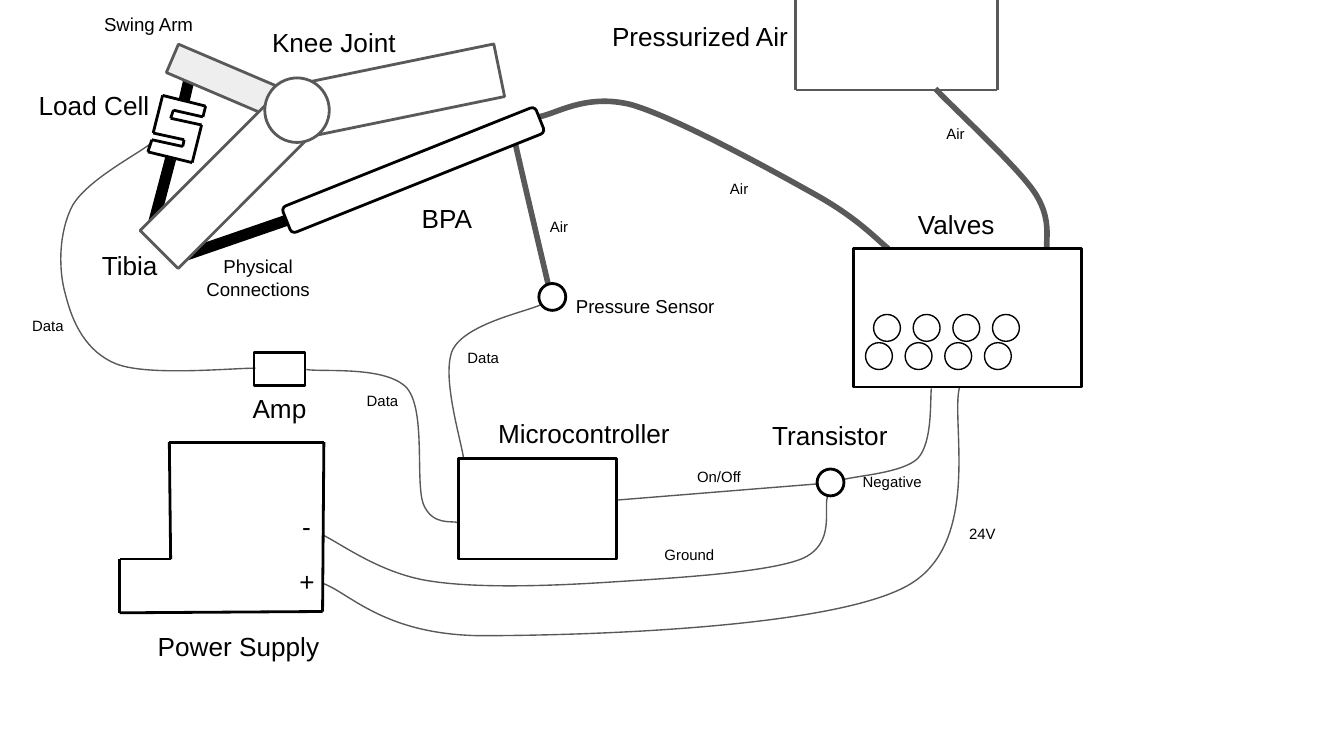
from dataclasses import dataclass
from itertools import pairwise
from typing import Optional

from lxml.etree import SubElement
from pptx import Presentation
from pptx.dml.color import RGBColor
from pptx.enum.shapes import MSO_CONNECTOR, MSO_SHAPE
from pptx.enum.text import MSO_ANCHOR, MSO_AUTO_SIZE, PP_ALIGN
from pptx.oxml.ns import qn
from pptx.util import Cm, Pt

BLACK = RGBColor(0x00, 0x00, 0x00)
GREY = RGBColor(0x59, 0x59, 0x59)
PALE = RGBColor(0xEE, 0xEE, 0xEE)
WHITE = RGBColor(0xFF, 0xFF, 0xFF)

CENTER, LEFT = PP_ALIGN.CENTER, PP_ALIGN.LEFT
RECT, OVAL = MSO_SHAPE.RECTANGLE, MSO_SHAPE.OVAL
Point = tuple[float, float]


@dataclass
class Label:
    text: str
    left: float
    top: float
    width: float
    height: float = 0.44
    size: int = 14
    align: PP_ALIGN = CENTER


@dataclass
class Part:
    left: float
    top: float
    width: float
    height: float
    kind: MSO_SHAPE = RECT
    fill: Optional[RGBColor] = None
    color: Optional[RGBColor] = BLACK
    weight: float = 1.5
    rotation: float = 0


@dataclass
class Cable:
    """A start point, then three points for each Bezier segment."""
    points: list[Point]
    weight: float = 0.75


def grid(units: float) -> Cm:
    """The drawing grid has ten units across the slide, 2.54 cm each."""
    return Cm(units * 2.54)


def draw_label(shapes, label: Label) -> None:
    box = shapes.add_textbox(grid(label.left), grid(label.top),
                             grid(label.width), grid(label.height))
    frame = box.text_frame
    frame.word_wrap = True
    frame.auto_size = MSO_AUTO_SIZE.SHAPE_TO_FIT_TEXT
    frame.vertical_anchor = MSO_ANCHOR.TOP
    frame.margin_left = frame.margin_right = Cm(0.25)
    frame.margin_top = frame.margin_bottom = Cm(0.25)
    para = frame.paragraphs[0]
    para.text = label.text
    para.alignment = label.align
    para.font.name = "Arial"
    para.font.size = Pt(label.size)
    para.font.color.rgb = BLACK


def draw_part(shapes, part: Part) -> None:
    shape = shapes.add_shape(part.kind, grid(part.left), grid(part.top),
                             grid(part.width), grid(part.height))
    shape.shadow.inherit = False
    shape.rotation = part.rotation
    if part.fill is None:
        shape.fill.background()
    else:
        shape.fill.solid()
        shape.fill.fore_color.rgb = part.fill
    if part.color is None:
        shape.line.fill.background()
    else:
        shape.line.color.rgb = part.color
        shape.line.width = Pt(part.weight)


def draw_lines(shapes, points: list[Point], color: RGBColor = BLACK, weight: float = 1.5) -> None:
    for (x1, y1), (x2, y2) in pairwise(points):
        line = shapes.add_connector(MSO_CONNECTOR.STRAIGHT, grid(x1), grid(y1), grid(x2), grid(y2))
        line.line.color.rgb = color
        line.line.width = Pt(weight)
        SubElement(line._element.spPr, qn("a:effectLst"))


def draw_cable(shapes, cable: Cable) -> None:
    start, *rest = [(grid(x), grid(y)) for x, y in cable.points]
    builder = shapes.build_freeform(*start)
    builder.add_line_segments(rest, close=False)
    shape = builder.convert_to_shape()
    shape.shadow.inherit = False
    shape.fill.background()
    shape.line.color.rgb = GREY
    shape.line.width = Pt(cable.weight)
    # Turn every three straight steps into one Bezier segment
    outline = next(shape._element.iter(qn("a:path")))
    steps = outline.findall(qn("a:lnTo"))
    for first in range(0, len(steps), 3):
        curve = SubElement(outline, qn("a:cubicBezTo"))
        for step in steps[first:first + 3]:
            curve.append(step[0])
            outline.remove(step)


CABLES = [
    # Air hoses: tank to valves, valves to BPA, BPA to sensor
    Cable([(6.96, 0.66), (7.08, 0.79), (7.55, 1.22), (7.69, 1.42),
           (7.83, 1.62), (7.78, 1.78), (7.79, 1.85)], 3),
    Cable([(6.61, 1.85), (6.52, 1.78), (6.39, 1.63), (6.07, 1.45), (5.75, 1.27),
           (5.04, 0.88), (4.7, 0.78), (4.35, 0.69), (4.12, 0.86), (4, 0.87)], 3),
    Cable([(3.83, 1.05), (3.87, 1.23), (4.04, 1.95), (4.08, 2.12)], 3),
    # Power: ground, negative, 24 V
    Cable([(6.16, 3.69), (6.12, 3.77), (6.23, 4.05), (5.96, 4.16), (5.7, 4.26),
           (5.03, 4.3), (4.56, 4.33), (4.1, 4.36), (3.54, 4.38), (3.18, 4.32),
           (2.82, 4.26), (2.53, 4.04), (2.4, 3.98)]),
    Cable([(6.27, 3.57), (6.37, 3.54), (6.72, 3.52), (6.83, 3.41),
           (6.94, 3.29), (6.92, 2.98), (6.93, 2.89)]),
    Cable([(2.4, 4.34), (2.6, 4.41), (2.85, 4.72), (3.57, 4.73), (4.3, 4.73),
           (6.13, 4.68), (6.73, 4.37), (7.32, 4.07), (7.07, 3.13), (7.14, 2.88)]),
    # Signals: on/off, amp to controller, sensor to controller, load cell to amp
    Cable([(4.6, 3.72), (4.85, 3.7), (5.84, 3.62), (6.09, 3.6)]),
    Cable([(2.28, 2.75), (2.4, 2.77), (2.88, 2.72), (3.03, 2.89), (3.17, 3.06),
           (3.09, 3.58), (3.15, 3.75), (3.22, 3.92), (3.37, 3.87), (3.41, 3.89)]),
    Cable([(4.02, 2.27), (3.91, 2.32), (3.47, 2.41), (3.37, 2.6),
           (3.28, 2.79), (3.43, 3.27), (3.45, 3.41)]),
    Cable([(1.12, 1.07), (1.02, 1.15), (0.65, 1.34), (0.54, 1.53), (0.44, 1.72),
           (0.43, 2), (0.49, 2.2), (0.54, 2.4), (0.64, 2.62), (0.87, 2.71),
           (1.11, 2.8), (1.72, 2.74), (1.9, 2.74)]),
]

DEVICES = [
    Part(6.49, 1.86, 0.24, 0.06, fill=WHITE, color=None),  # trims the hose end
    Part(6.35, 1.85, 1.7, 1.03),                           # valves
    Part(3.41, 3.41, 1.18, 0.75),                          # microcontroller
    Part(1.89, 2.62, 0.38, 0.25),                          # amp
    Part(6.08, 3.49, 0.2, 0.2, OVAL),                      # transistor
    Part(4.01, 2.11, 0.2, 0.2, OVAL, WHITE),               # pressure sensor
]
VALVE_ROWS = [(6.44, 2.55), (6.5, 2.34)]
VALVES = [Part(left + 0.295 * column, top, 0.2, 0.2, OVAL, weight=0.75)
          for left, top in VALVE_ROWS for column in range(4)]

SWING_ARM = Part(1.24, 0.53, 1.07, 0.23, fill=PALE, color=GREY, rotation=23.1)
LEG = [
    Part(0.97, 1.14, 1.46, 0.4, RECT, WHITE, GREY, rotation=315),     # tibia
    Part(2.27, 0.47, 1.46, 0.4, RECT, WHITE, GREY, rotation=348.4),   # thigh
    Part(1.97, 0.58, 0.48, 0.48, OVAL, WHITE, GREY),                  # knee
    Part(2.06, 1.16, 2.03, 0.21, MSO_SHAPE.ROUNDED_RECTANGLE, WHITE, rotation=338.2),  # BPA
]
POWER_SUPPLY = [(0.89, 4.56), (2.4, 4.55), (2.41, 3.29), (1.26, 3.29),
                (1.27, 4.16), (0.89, 4.16), (0.89, 4.56)]
AIR_TANK = [(5.92, 0), (5.92, 0.67), (7.42, 0.67), (7.42, 0)]
LOAD_CELL = [(1.21, 0.71), (1.53, 0.79), (1.51, 0.87), (1.29, 0.82), (1.27, 0.88),
             (1.5, 0.93), (1.43, 1.21), (1.1, 1.13), (1.13, 1.04), (1.36, 1.09),
             (1.37, 1.04), (1.14, 0.99), (1.21, 0.71)]
LOAD_CELL_RODS = [[(1.37, 0.75), (1.43, 0.49)], [(1.27, 1.18), (1.13, 1.71)]]
BPA_ROD = [(2.16, 1.63), (1.29, 1.93)]

LABELS = [
    Label("Pressurized Air", 4.36, 0.05, 1.7),
    Label("Valves", 6.23, 1.45, 1.77),
    Label("BPA", 3.03, 1.41, 0.59),
    Label("Power Supply", 0.69, 4.59, 2.17),
    Label("Microcontroller", 3.4, 3.01, 1.89),
    Label("Transistor", 5.03, 3.02, 2.29),
    Label("Knee Joint", 1.6, 0.1, 1.77),
    Label("Amp", 1.75, 2.82, 0.66),
    Label("-", 2.11, 3.7, 0.34),
    Label("+", 2.06, 4.11, 0.45),
    Label("Load Cell", -0.1, 0.57, 1.6),
    Label("Tibia", 0.55, 1.76, 0.83),
    Label("Pressure Sensor", 3.99, 2.11, 1.62, 0.37, 10),
    Label("Physical Connections", 1.42, 1.8, 1, 0.54, 10),
    Label("Swing Arm", 0.44, 0.01, 1.33, 0.37, 10),
    Label("Air", 5.31, 1.27, 0.38, 0.34, 8),
    Label("Air", 3.97, 1.55, 0.38, 0.34, 8),
    Label("Air", 6.92, 0.86, 0.38, 0.34, 8),
    Label("24V", 7.03, 3.84, 0.56, 0.34, 8),
    Label("On/Off", 5.02, 3.41, 0.66, 0.34, 8),
    Label("Ground", 4.8, 3.99, 0.66, 0.34, 8),
    Label("Negative", 6.32, 3.45, 0.66, 0.34, 8, LEFT),
    Label("Data", 3.38, 2.53, 0.56, 0.34, 8, LEFT),
    Label("Data", 0.14, 2.29, 0.47, 0.34, 8, LEFT),
    Label("Data", 2.63, 2.85, 0.56, 0.34, 8, LEFT),
]


def main() -> None:
    deck = Presentation()
    deck.slide_width, deck.slide_height = grid(10), grid(5.625)
    shapes = deck.slides.add_slide(deck.slide_layouts[6]).shapes
    for cable in CABLES:
        draw_cable(shapes, cable)
    for part in DEVICES + VALVES:
        draw_part(shapes, part)
    draw_lines(shapes, POWER_SUPPLY)
    draw_lines(shapes, AIR_TANK, GREY)
    # Leg model, from back to front
    for rod in LOAD_CELL_RODS + [BPA_ROD]:
        draw_lines(shapes, rod, weight=6)
    for part in [SWING_ARM] + LEG:
        draw_part(shapes, part)
    draw_lines(shapes.add_group_shape().shapes, LOAD_CELL)
    for label in LABELS:
        draw_label(shapes, label)
    deck.save("out.pptx")


if __name__ == "__main__":
    main()
